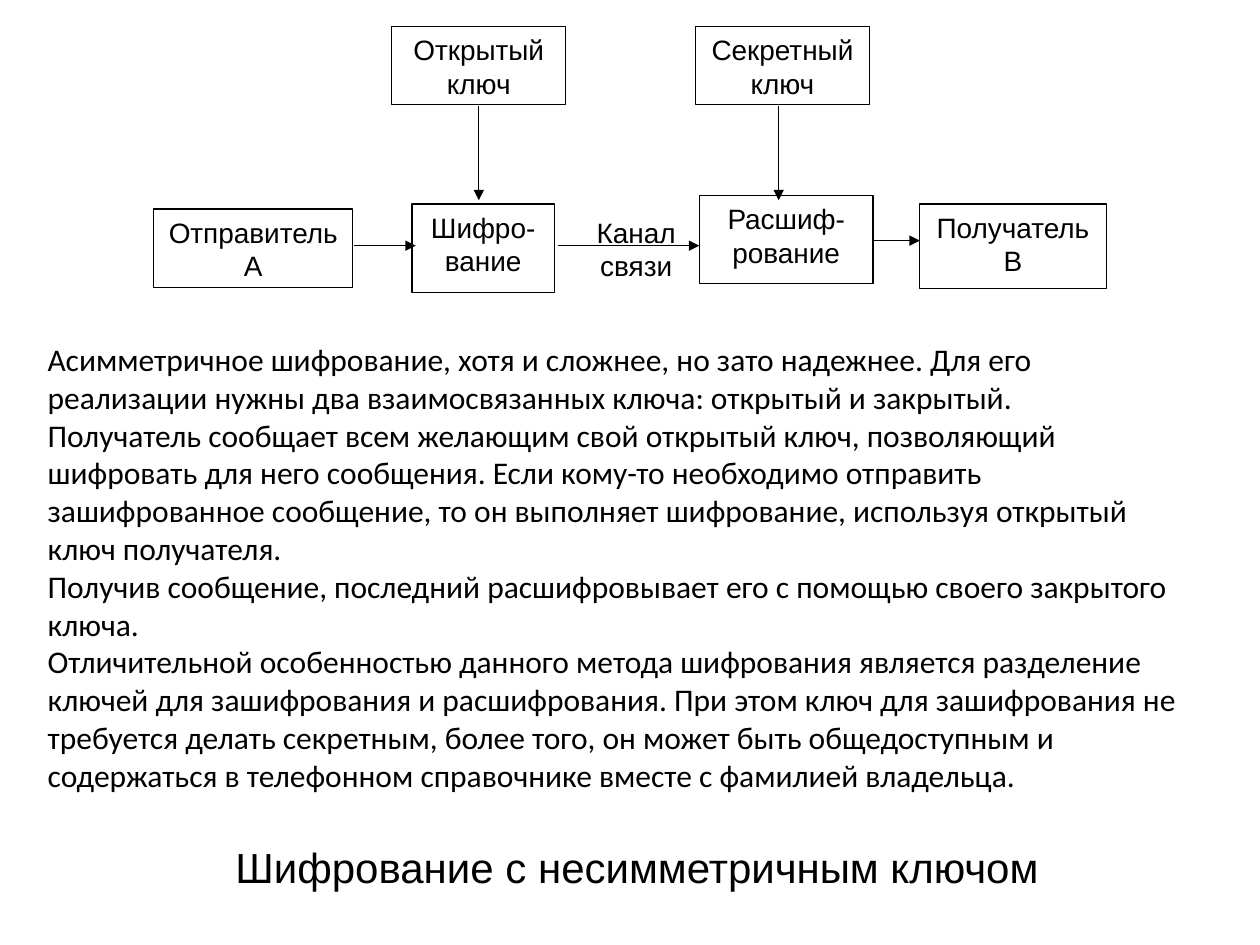
from lxml import etree
from pptx import Presentation
from pptx.dml.color import RGBColor
from pptx.enum.shapes import MSO_CONNECTOR, MSO_SHAPE
from pptx.enum.text import MSO_ANCHOR, PP_ALIGN
from pptx.oxml.ns import qn
from pptx.util import Inches, Pt

BLACK = RGBColor(0, 0, 0)
WHITE = RGBColor(255, 255, 255)
RECTANGLE = MSO_SHAPE.RECTANGLE
STRAIGHT = MSO_CONNECTOR.STRAIGHT
TOP, MIDDLE = MSO_ANCHOR.TOP, MSO_ANCHOR.MIDDLE
LEFT, CENTER = PP_ALIGN.LEFT, PP_ALIGN.CENTER

BOX_FONT = {"name": "Arial", "size": Pt(16)}
TITLE_FONT = {"name": "Arial", "size": Pt(24)}
BODY_FONT = {"name": "Calibri", "size": Pt(18)}

BOXES = [
    (3.11, 0.21, 1.38, 0.62, BLACK, ["Открытый", "ключ"]),
    (5.52, 0.21, 1.38, 0.62, BLACK, ["Секретный", "ключ"]),
    (4.55, 1.66, 1, 0.62, WHITE, ["Канал", "связи"]),
    (7.3, 1.62, 1.48, 0.67, BLACK, ["Получатель В"]),
    (5.55, 1.55, 1.38, 0.7, BLACK, ["Расшиф-рование"]),
    (3.27, 1.62, 1.13, 0.7, BLACK, ["Шифро-вание"]),
    (1.22, 1.66, 1.58, 0.62, BLACK, ["Отправитель А"]),
]
ARROWS = [
    (3.8, 0.84, 3.8, 1.59),
    (6.18, 0.84, 6.18, 1.59),
    (2.81, 1.95, 3.3, 1.95),
    (4.43, 1.95, 5.55, 1.95),
    (6.93, 1.91, 7.3, 1.91),
]
TITLE = ["Шифрование с несимметричным ключом"]
BODY = [
    "Асимметричное шифрование, хотя и сложнее, но зато надежнее. Для его реализации "
    "нужны два взаимосвязанных ключа: открытый и закрытый.",
    "Получатель сообщает всем желающим свой открытый ключ, позволяющий шифровать для "
    "него сообщения. Если кому-то необходимо отправить зашифрованное сообщение, то он "
    "выполняет шифрование, используя открытый ключ получателя.",
    "Получив сообщение, последний расшифровывает его с помощью своего закрытого ключа.",
    "Отличительной особенностью данного метода шифрования является разделение ключей "
    "для зашифрования и расшифрования. При этом ключ для зашифрования не требуется "
    "делать секретным, более того, он может быть общедоступным и содержаться в "
    "телефонном справочнике вместе с фамилией владельца.",
]


def write_text(shape, lines, font, align=LEFT, anchor=TOP, wrap=True):
    """Fill a shape with one paragraph per line."""
    frame = shape.text_frame
    frame.word_wrap = wrap
    frame.vertical_anchor = anchor
    for index, line in enumerate(lines):
        para = frame.add_paragraph() if index else frame.paragraphs[0]
        para.alignment = align
        span = para.add_run()
        span.text = line
        span.font.color.rgb = BLACK
        for name, value in font.items():
            setattr(span.font, name, value)


def add_box(page, left, top, width, height, outline, lines):
    """Draw a white box with centred text."""
    box = page.shapes.add_shape(
        RECTANGLE, Inches(left), Inches(top), Inches(width), Inches(height))
    box.shadow.inherit = False
    box.fill.solid()
    box.fill.fore_color.rgb = WHITE
    box.line.color.rgb = outline
    box.line.width = Pt(0.75)
    write_text(box, lines, BOX_FONT, CENTER)


def add_arrow(page, *ends):
    """Draw a thin black arrow with a triangular head."""
    arrow = page.shapes.add_connector(STRAIGHT, *map(Inches, ends))
    arrow.line.color.rgb = BLACK
    arrow.line.width = Pt(0.75)
    etree.SubElement(arrow.line._get_or_add_ln(), qn("a:tailEnd"), type="triangle")
    etree.SubElement(arrow._element.spPr, qn("a:effectLst"))


def add_text(page, left, top, width, height, lines, font, **layout):
    """Place a text box on the page."""
    box = page.shapes.add_textbox(
        Inches(left), Inches(top), Inches(width), Inches(height))
    write_text(box, lines, font, **layout)


def main():
    """Build the asymmetric encryption slide."""
    deck = Presentation()
    deck.slide_width, deck.slide_height = Inches(10), Inches(7.5)
    page = deck.slides.add_slide(deck.slide_layouts[6])
    for box in BOXES:
        add_box(page, *box)
    for arrow in ARROWS:
        add_arrow(page, *arrow)
    add_text(page, 1.77, 6.63, 6.64, 0.5, TITLE, TITLE_FONT, anchor=MIDDLE, wrap=False)
    add_text(page, 0.28, 2.65, 9.29, 3.74, BODY, BODY_FONT)
    deck.save("out.pptx")


if __name__ == "__main__":
    main()
